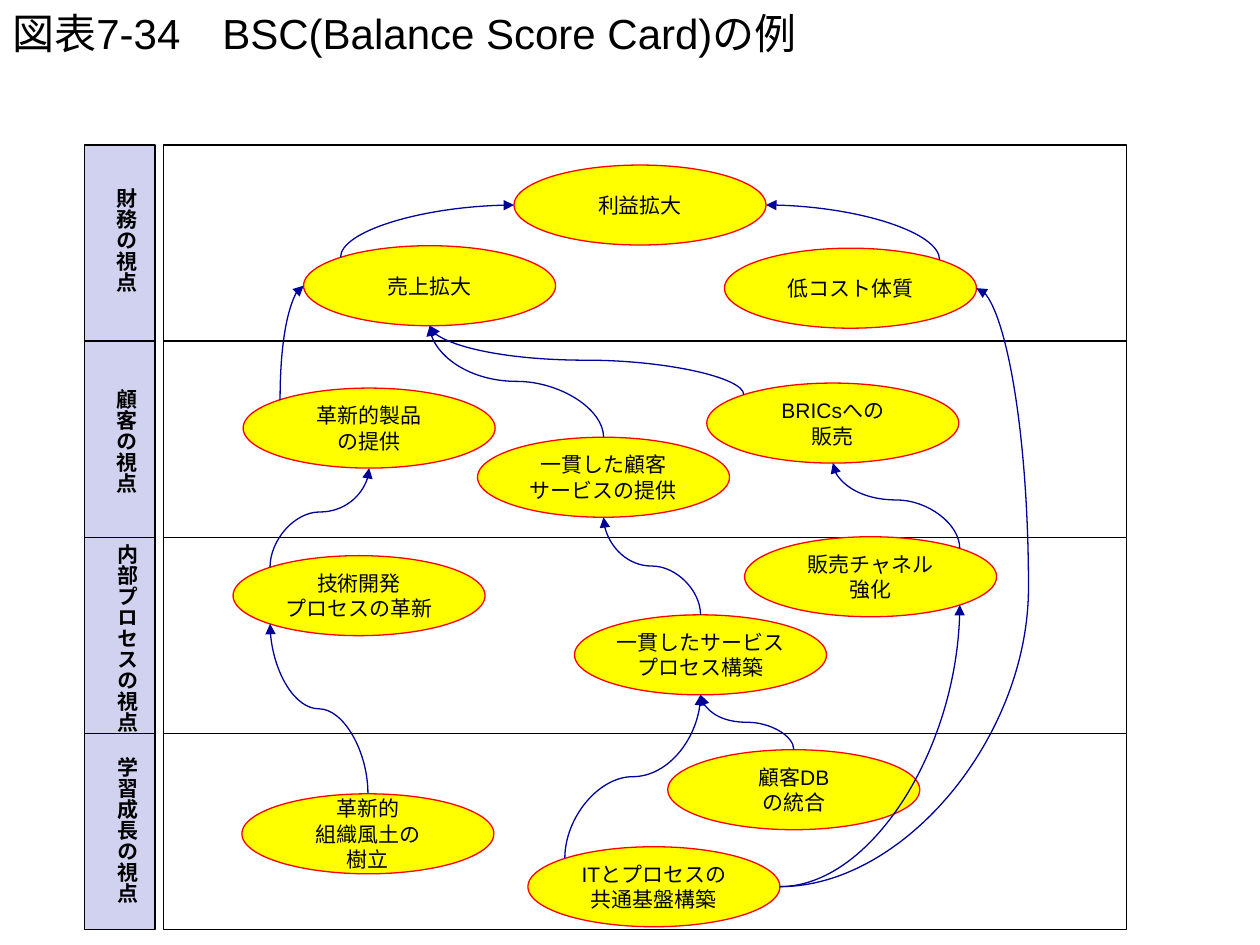
from copy import deepcopy
from math import cos, radians, sin

from lxml import etree
from pptx import Presentation
from pptx.dml.color import RGBColor
from pptx.enum.shapes import MSO_CONNECTOR, MSO_SHAPE
from pptx.enum.text import MSO_ANCHOR, MSO_AUTO_SIZE, PP_ALIGN
from pptx.oxml.ns import qn
from pptx.util import Inches, Pt

RECTANGLE, ELLIPSE = MSO_SHAPE.RECTANGLE, MSO_SHAPE.OVAL
CURVE = MSO_CONNECTOR.CURVE
MIDDLE, CENTER = MSO_ANCHOR.MIDDLE, PP_ALIGN.CENTER
FIT_SHAPE = MSO_AUTO_SIZE.SHAPE_TO_FIT_TEXT

# The slide is a grid of 100 columns by 75 rows
COLUMNS, ROWS, CELL = 100, 75, 0.1
BAND_TOP, BAND_HEIGHT = 11.5, 15.57
GOAL_WIDTH, GOAL_HEIGHT = 20, 6.35

# Perspective, then left, top and height of its vertical label
PERSPECTIVES = [
    ("財務の視点", 7.5, 13.9, 9.2),
    ("顧客の視点", 7.5, 29.9, 9.2),
    ("内部プロセスの視点", 7.6, 42.2, 15),
    ("学習成長の視点", 7.6, 59.1, 12.5),
]

# Goal: text, left column, top row
GOALS = {
    "profit": ("利益拡大", 40.8, 13.1),
    "sales": ("売上拡大", 24.1, 19.5),
    "low_cost": ("低コスト体質", 57.5, 19.7),
    "products": ("革新的製品\nの提供", 19.3, 30.8),
    "service": ("一貫した顧客\nサービスの提供", 37.9, 34.7),
    "brics": ("BRICsへの\n販売", 56.1, 30.4),
    "development": ("技術開発\nプロセスの革新", 18.5, 44.1),
    "service_process": ("一貫したサービス\nプロセス構築", 45.6, 48.8),
    "channel": ("販売チャネル\n強化", 59.1, 42.6),
    "culture": ("革新的\n組織風土の\n樹立", 19.2, 63),
    "database": ("顧客DB\nの統合", 53, 59.5),
    "platform": ("ITとプロセスの\n共通基盤構築", 41.9, 67.2),
}

# Points on an ellipse, as clockwise angles from the right
SITES = {"right": 0, "bottom right": 45, "bottom": 90, "bottom left": 135,
         "left": 180, "top left": 225, "top": 270, "top right": 315}

# Cause, its site, effect, its site, position of the bend (None: single arc)
LINKS = [
    ("culture", "top", "development", "bottom left", 0.5),
    ("database", "top", "service_process", "bottom", 0.5),
    ("platform", "top left", "service_process", "bottom", 0.5),
    ("platform", "right", "channel", "bottom right", None),
    ("platform", "right", "low_cost", "right", 1.265),
    ("development", "top left", "products", "bottom", 0.558),
    ("service_process", "top", "service", "bottom", 0.5),
    ("channel", "top right", "brics", "bottom", 0.567),
    ("products", "top left", "sales", "left", None),
    ("service", "top", "sales", "bottom", 0.5),
    ("brics", "top left", "sales", "bottom", 0.5),
    ("sales", "top left", "profit", "left", None),
    ("low_cost", "top right", "profit", "right", None),
]


def cells(*counts):
    return [Inches(count * CELL) for count in counts]


def color(hex_code):
    return RGBColor.from_string(hex_code)


def write(frame, text, size=12, bold=False, align=None, anchor=None, wrap=False):
    frame.word_wrap = wrap
    if anchor is not None:
        frame.vertical_anchor = anchor
    paragraph = frame.paragraphs[0]
    paragraph.text = text
    paragraph.alignment = align
    for run in paragraph.runs:
        run.font.name = "Arial"
        run.font.size = Pt(size)
        run.font.bold = bold
        run.font.color.rgb = color("000000")
    # Line breaks take the format of the text around them
    run_format = paragraph.runs[0].font._element
    for line_break in paragraph._p.findall(qn("a:br")):
        line_break.append(deepcopy(run_format))


def add_filled(slide, kind, box, fill, line):
    shape = slide.shapes.add_shape(kind, *cells(*box))
    shape.shadow.inherit = False
    shape.fill.solid()
    shape.fill.fore_color.rgb = color(fill)
    shape.line.color.rgb = color(line)
    shape.line.width = Pt(0.75)
    return shape


def add_label(slide, text, left, top, height):
    label = slide.shapes.add_textbox(*cells(left, top, 4, height))
    write(label.text_frame, text, bold=True)
    label.text_frame.auto_size = FIT_SHAPE
    label.text_frame._txBody.bodyPr.set("vert", "eaVert")


def add_goal(slide, text, left, top):
    box = (left, top, GOAL_WIDTH, GOAL_HEIGHT)
    goal = add_filled(slide, ELLIPSE, box, "FFFF00", "FF0000")
    write(goal.text_frame, text, align=CENTER, anchor=MIDDLE)


def site_point(goal, site):
    _, left, top = GOALS[goal]
    angle = radians(SITES[site])
    return (left + GOAL_WIDTH / 2 * (1 + cos(angle)),
            top + GOAL_HEIGHT / 2 * (1 + sin(angle)))


def add_link(slide, cause, cause_site, effect, effect_site, bend):
    x1, y1 = site_point(cause, cause_site)
    x2, y2 = site_point(effect, effect_site)
    upward = cause_site.startswith("top")
    if upward:
        # A curve that leaves upwards is a sideways one, turned about its centre
        mid_x, mid_y = (x1 + x2) / 2, (y1 + y2) / 2
        half_width, half_height = (y1 - y2) / 2, (x2 - x1) / 2
        x1, x2 = mid_x - half_width, mid_x + half_width
        y1, y2 = mid_y - half_height, mid_y + half_height
    link = slide.shapes.add_connector(CURVE, *cells(x1, y1, x2, y2))
    link.line.color.rgb = color("000099")
    link.line.width = Pt(0.75)
    properties = link._element.spPr
    if upward:
        properties.find(qn("a:xfrm")).set("rot", str(270 * 60000))

    # Bend, arrowhead and no shadow
    geometry = properties.find(qn("a:prstGeom"))
    if bend is None:
        geometry.set("prst", "curvedConnector2")
    else:
        etree.SubElement(geometry.find(qn("a:avLst")), qn("a:gd"),
                         name="adj1", fmla=f"val {round(bend * 100000)}")
    etree.SubElement(properties.find(qn("a:ln")), qn("a:tailEnd"), type="triangle")
    etree.SubElement(properties, qn("a:effectLst"))


def main():
    deck = Presentation()
    deck.slide_width, deck.slide_height = cells(COLUMNS, ROWS)
    slide = deck.slides.add_slide(deck.slide_layouts[6])

    # Title
    title = slide.shapes.add_textbox(*cells(0, 0, COLUMNS, 5.2))
    write(title.text_frame, "図表7-34　BSC(Balance Score Card)の例",
          size=24, anchor=MIDDLE, wrap=True)

    # One band with a header for each perspective
    for row, (name, left, top, height) in enumerate(PERSPECTIVES):
        band_top = BAND_TOP + row * BAND_HEIGHT
        for column, width, fill in ((13, 76.4, "FFFFFF"), (6.7, 5.6, "D1D1F0")):
            add_filled(slide, RECTANGLE, (column, band_top, width, BAND_HEIGHT),
                       fill, "000000")
        add_label(slide, name, left, top, height)

    # Goals and the links from cause to effect
    for goal in GOALS.values():
        add_goal(slide, *goal)
    for link in LINKS:
        add_link(slide, *link)

    deck.save("out.pptx")


if __name__ == "__main__":
    main()
